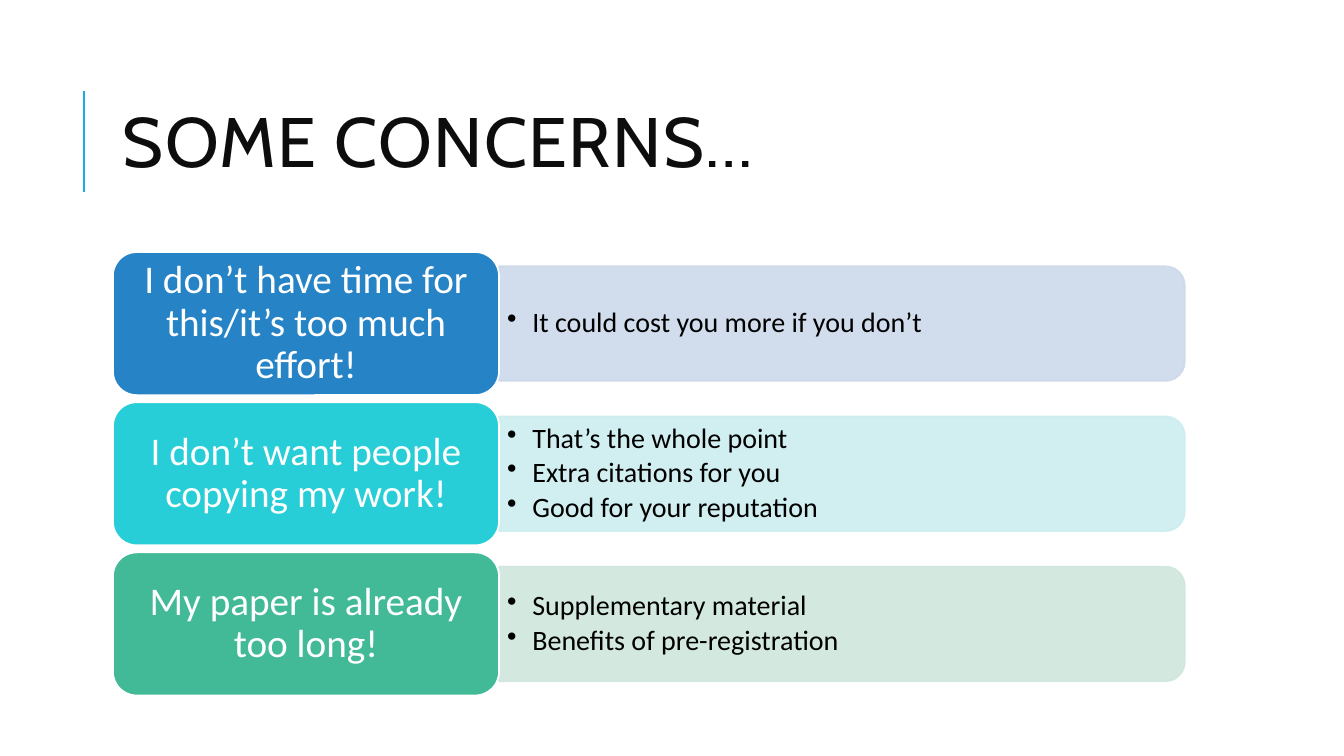
from dataclasses import dataclass
from lxml import etree
from pptx import Presentation
from pptx.dml.color import RGBColor
from pptx.enum.shapes import MSO_CONNECTOR, MSO_SHAPE
from pptx.enum.text import MSO_ANCHOR, PP_ALIGN
from pptx.oxml.ns import qn
from pptx.util import Inches, Pt

LINE = MSO_CONNECTOR.STRAIGHT
ROUND = MSO_SHAPE.ROUNDED_RECTANGLE
HALF = MSO_SHAPE.ROUND_2_SAME_RECTANGLE
MIDDLE = MSO_ANCHOR.MIDDLE
LEFT, CENTER = PP_ALIGN.LEFT, PP_ALIGN.CENTER


@dataclass(frozen=True)
class Theme:
    head: str = "Cabin"
    body: str = "Calibri"
    accent: str = "1CADE4"
    ink: str = "0D0D0D"
    black: str = "000000"
    white: str = "FFFFFF"
    title: int = 50
    label: int = 28
    point: int = 20
    edge: float = 1.25
    rule: float = 1.5


THEME = Theme()
ROWS = [
    ("I don’t have time for this/it’s too much effort!", "2683C6", "CDD9EA",
     ["It could cost you more if you don’t"]),
    ("I don’t want people copying my work!", "27CED7", "CDEDF0",
     ["That’s the whole point", "Extra citations for you",
      "Good for your reputation"]),
    ("My paper is already too long!", "42BA97", "CFE7DD",
     ["Supplementary material", "Benefits of pre-registration"]),
]


def paint(shape, fill, edge):
    shape.shadow.inherit = False
    shape.fill.solid()
    shape.fill.fore_color.rgb = RGBColor.from_string(fill)
    shape.line.color.rgb = RGBColor.from_string(edge)
    shape.line.width = Pt(THEME.edge)


def fade(shape, amount):
    for color in shape._element.spPr.iter(qn("a:srgbClr")):
        etree.SubElement(color, qn("a:alpha"), val=str(amount * 1000))


def write(shape, lines, font, size, color, inset, align=LEFT, space=0.9, after=0):
    frame = shape.text_frame
    frame.word_wrap = True
    frame.vertical_anchor = MIDDLE
    frame.margin_left = frame.margin_right = Inches(inset[0])
    frame.margin_top = frame.margin_bottom = Inches(inset[1])
    frame.text = "\n".join(lines)
    for para in frame.paragraphs:
        para.alignment = align
        para.line_spacing = space
        para.space_after = Pt(after)
        para.font.name = font
        para.font.size = Pt(size)
        para.font.color.rgb = RGBColor.from_string(color)
    return frame.paragraphs


def bullet(para):
    props = para._p.get_or_add_pPr()
    props.set("marL", str(Inches(0.25)))
    props.set("indent", str(-Inches(0.25)))
    mark = etree.Element(qn("a:buChar"), char="•")
    props.find(qn("a:defRPr")).addprevious(mark)


def header(slide, left, top, width, height):
    rule = slide.shapes.add_connector(
        LINE, Inches(left), Inches(top + 1.26), Inches(left), Inches(top + 0.26))
    rule.line.color.rgb = RGBColor.from_string(THEME.accent)
    rule.line.width = Pt(THEME.rule)
    etree.SubElement(rule._element.spPr, qn("a:effectLst"))
    box = slide.shapes.add_textbox(
        Inches(left + 0.29), Inches(top), Inches(width - 0.29), Inches(height))
    para = write(box, ["SOME CONCERNS…"], THEME.head, THEME.title, THEME.ink,
                 (0.1, 0.05), space=0.8)[0]
    para.runs[0].font._element.set("spc", "100")


def concern(slide, left, top, width, height, row):
    label, fill, tint, points = row
    split = 3.83
    span, depth = width - split, height * 0.8
    start, mid = left + split, top + height / 2
    panel = slide.shapes.add_shape(
        HALF, Inches(start + (span - depth) / 2), Inches(mid - span / 2),
        Inches(depth), Inches(span))
    panel.rotation = 90
    paint(panel, tint, tint)
    fade(panel, 90)
    box = slide.shapes.add_textbox(
        Inches(start), Inches(mid - 0.51), Inches(span - 0.05), Inches(1.02))
    for para in write(box, points, THEME.body, THEME.point, THEME.black,
                      (0.08, 0.04), after=3):
        bullet(para)
    card = slide.shapes.add_shape(
        ROUND, Inches(left), Inches(top), Inches(split), Inches(height))
    paint(card, fill, THEME.white)
    write(card, [label], THEME.body, THEME.label, THEME.white,
          (0.12, 0.06), CENTER)


def concerns(slide, left, top, width, height):
    gap = 0.07
    tall = (height - gap * (len(ROWS) - 1)) / len(ROWS)
    for index, row in enumerate(ROWS):
        concern(slide, left, top + index * (tall + gap), width, tall, row)


def main():
    deck = Presentation()
    deck.slide_width, deck.slide_height = Inches(13.33), Inches(7.5)
    slide = deck.slides.add_slide(deck.slide_layouts[6])
    header(slide, 0.83, 0.64, 10.92, 1.64)
    concerns(slide, 1.12, 2.5, 10.63, 4.4)
    deck.save("out.pptx")


main()
